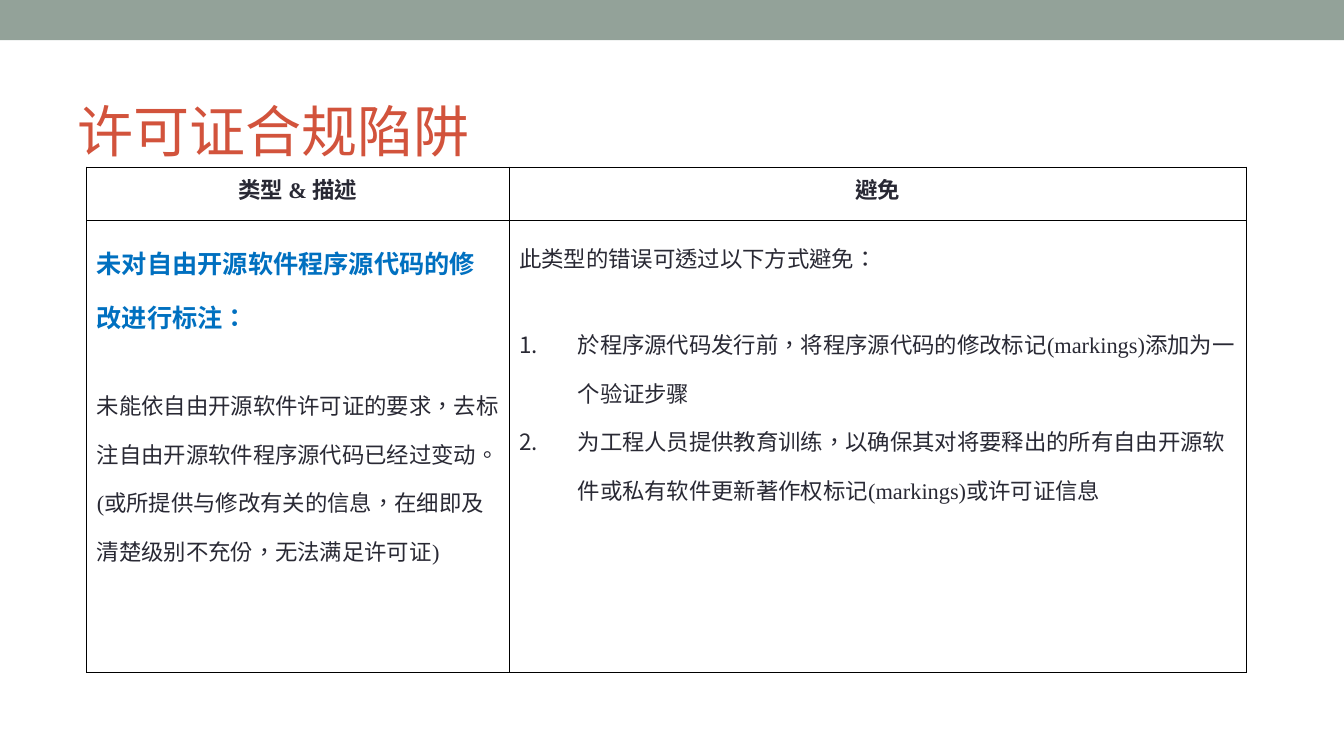
"""Builds the slide on licence compliance pitfalls: a title over a two-column table."""
from lxml.etree import SubElement
from pptx import Presentation
from pptx.dml.color import RGBColor
from pptx.enum.shapes import MSO_SHAPE
from pptx.enum.text import MSO_ANCHOR, MSO_AUTO_SIZE, PP_ALIGN
from pptx.oxml import parse_xml
from pptx.oxml.ns import nsdecls, qn
from pptx.util import Inches, Pt

HUES = {"bar": "93A299", "title": "D2533C", "ink": "292934", "blue": "0070C0", "line": "000000"}


def add_run(para, text, size, hue, bold=False):
    run = para.add_run()
    run.text = text
    run.font.name = "Times New Roman"
    run.font.size = Pt(size)
    run.font.bold = bold
    run.font.color.rgb = RGBColor.from_string(HUES[hue])
    run._r.get_or_add_rPr().set("lang", "zh-TW")


def indent(para, left):
    props = para._p.get_or_add_pPr()
    props.set("marL", str(Inches(left)))
    props.set("indent", str(-Inches(left)))
    return props


deck = Presentation()
deck.slide_width, deck.slide_height = Inches(13.33), Inches(7.5)
slide = deck.slides.add_slide(deck.slide_layouts[5])

bar = slide.shapes.add_shape(MSO_SHAPE.RECTANGLE, 0, 0, deck.slide_width, Inches(0.4))
bar.shadow.inherit = False
bar.fill.solid()
bar.fill.fore_color.rgb = RGBColor.from_string(HUES["bar"])
bar.line.fill.background()

title = slide.shapes.title
title.left, title.top = Inches(0.67), Inches(0.58)
title.width, title.height = Inches(12), Inches(1.08)
frame = title.text_frame
frame.auto_size = MSO_AUTO_SIZE.NONE
frame.vertical_anchor = MSO_ANCHOR.MIDDLE
para = frame.paragraphs[0]
para.alignment = PP_ALIGN.LEFT
para.line_spacing = 1.5
add_run(para, "许可证合规陷阱", 40, "title")

grid = slide.shapes.add_table(2, 2, Inches(0.86), Inches(1.66), Inches(11.5), Inches(5.01)).table
grid.first_row = grid.horz_banding = False
for col, width in zip(grid.columns, (4.19, 7.31)):
    col.width = Inches(width)
for row, height in zip(grid.rows, (0.53, 4.48)):
    row.height = Inches(height)

for cell in grid.iter_cells():
    cell.fill.background()
    props = cell._tc.get_or_add_tcPr()
    for spot, side in enumerate(("lnL", "lnR", "lnT", "lnB")):
        props.insert(spot, parse_xml(
            f'<a:{side} {nsdecls("a")} w="12700"><a:solidFill>'
            f'<a:srgbClr val="{HUES["line"]}"/></a:solidFill></a:{side}>'))

for col, (text, left) in enumerate((("类型 & 描述", 0.38), ("避免", 0.58))):
    para = grid.cell(0, col).text_frame.paragraphs[0]
    indent(para, left)
    para.alignment = PP_ALIGN.CENTER
    add_run(para, text, 16, "ink", True)

frame = grid.cell(1, 0).text_frame
para = frame.paragraphs[0]
para.line_spacing = 1.5
add_run(para, "未对自由开源软件程序源代码的修改进行标注：", 18, "blue", True)
para = frame.add_paragraph()
para.line_spacing = 1.5
para.space_before = Pt(27)
add_run(para, "未能依自由开源软件许可证的要求，去标注自由开源软件程序源代码已经过变动。"
        "(或所提供与修改有关的信息，在细即及清楚级别不充份，无法满足许可证)", 16, "ink")

frame = grid.cell(1, 1).text_frame
para = frame.paragraphs[0]
indent(para, 0.58)
para.line_spacing = 1.5
add_run(para, "此类型的错误可透过以下方式避免：", 16, "ink")
steps = (
    "於程序源代码发行前，将程序源代码的修改标记(markings)添加为一个验证步骤",
    "为工程人员提供教育训练，以确保其对将要释出的所有自由开源软件或私有软件"
    "更新著作权标记(markings)或许可证信息",
)
for text, gap in zip(steps, (27, 0)):
    para = frame.add_paragraph()
    props = indent(para, 0.58)
    tint = SubElement(props, qn("a:buClr"))
    SubElement(tint, qn("a:srgbClr"), val=HUES["ink"])
    SubElement(props, qn("a:buAutoNum"), type="arabicPeriod")
    para.line_spacing = 1.5
    para.space_before = Pt(gap)
    add_run(para, text, 16, "ink")

deck.save("out.pptx")
